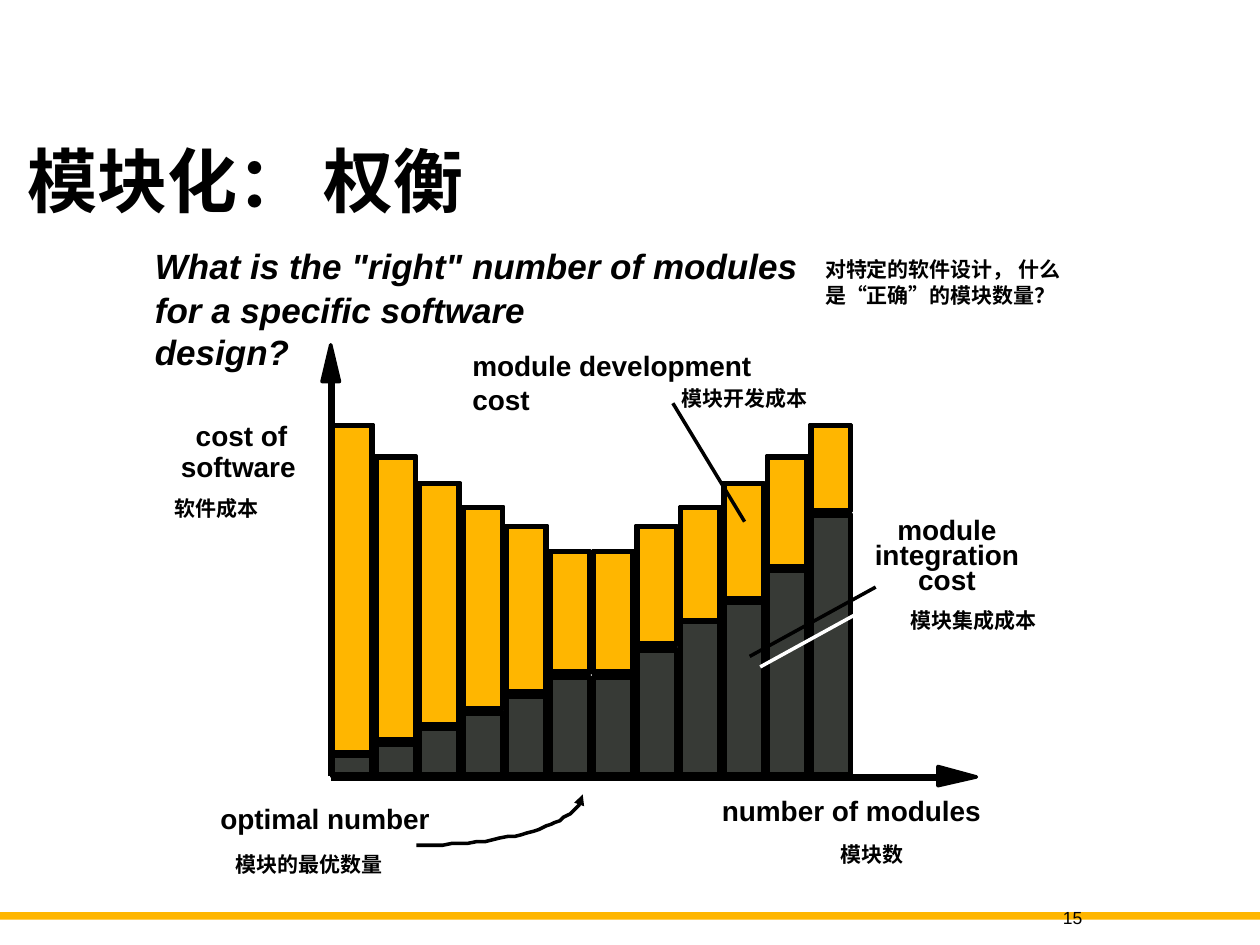
import math

from lxml import etree
from pptx import Presentation
from pptx import util as u
from pptx.dml.color import RGBColor
from pptx.enum import shapes, text
from pptx.oxml.ns import qn

Pt = u.Pt
THEME = {
    "black": "000000", "white": "FFFFFF", "amber": "FFB600", "charcoal": "373A36",
    "body": "Arial", "heading": "Times New Roman",
    "title": 40, "question": 20, "label": 16, "note": 12, "page": 10,
    "thin": 2, "thick": 4,
}

LABELS = [
    ((10.8, 82.1, 263.5, 52.6), ["模块化： 权衡"],
     {"size": "title", "font": "heading", "spacing": 0.9, "margins": (5, 2.2)}),
    ((81.4, 136.1, 386.6, 31), ['What is the "right" number of modules'],
     {"size": "question", "italic": True}),
    ((81.4, 161.3, 303, 54), ["for a specific software design?"],
     {"size": "question", "italic": True, "wrap": True}),
    ((464.4, 143.3, 169.9, 36), ["对特定的软件设计， 什么是“正确”的模块数量？"], {"wrap": True}),
    ((262.8, 195.8, 211, 25.9), ["module development cost"], {"size": "label"}),
    ((382.3, 216.7, 87.1, 21.6), ["模块开发成本"], {}),
    ((104.8, 235.4, 67, 25.9), ["cost of"], {"size": "label"}),
    ((96.3, 253.4, 80, 25.9), ["software"], {"size": "label"}),
    ((92.9, 279.4, 94.3, 21.6), ["软件成本"], {"wrap": True}),
    ((492.5, 293.8, 97.2, 50.4), ["module", "integration", "cost"],
     {"size": "label", "spacing": 0.75, "align": text.PP_ALIGN.CENTER}),
    ((512.6, 347, 87.1, 18), ["模块集成成本"], {"spacing": 0.75, "align": text.PP_ALIGN.CENTER}),
    ((118.8, 454.3, 133.9, 25.9), ["optimal number"], {"size": "label"}),
    ((127.4, 483.1, 99.4, 21.6), ["模块的最优数量"], {}),
    ((405.4, 450, 162.7, 25.9), ["number of modules"], {"size": "label"}),
    ((473, 477.4, 50.4, 21.6), ["模块数"], {}),
    ((594, 517.7, 28.1, 13), ["15"],
     {"size": "page", "bold": False, "wrap": True, "margins": (3.6, 3.6), "fit": False,
      "align": text.PP_ALIGN.RIGHT, "anchor": text.MSO_ANCHOR.MIDDLE}),
]

BARS = [
    (242.6, 430.6, 431.3), (260.6, 423.4, 424.8), (275.8, 414.7, 415.4),
    (289.4, 405.4, 406.8), (300.2, 396, 397.4), (314.6, 384.5, 386.6),
    (314.6, 384.5, 386.6), (300.2, 368.6, 370.8), (289.4, 355, 354.2),
    (275.8, 342.7, 343.4), (260.6, 324.7, 325.4), (242.6, 292.3, 293.8),
]
BAR_LEFT, BAR_STEP, BAR_WIDTH, BASELINE, INSET = 189.4, 24.86, 23.6, 443.5, 1.1

AXES = [
    ((189.4, 444.2, 535, 444.2), [(558, 443.5), (535.7, 448.6), (535.7, 438.5)]),
    ((189.4, 443.5, 189.4, 217.4), [(189.4, 196.6), (193.7, 218.2), (183.6, 218.2)]),
]
DEVELOPMENT_POINTER = (384.5, 230.4, 425.5, 298.1)
INTEGRATION_POINTER = (500.4, 335.5, 428.4, 375.1)
CURVE = {"center": (238.3, 454.3), "radii": (94.3, 28.8), "steps": 30}


def color(name):
    return RGBColor.from_string(THEME[name])


def style(shape, fill=None, line=None):
    shape.shadow.inherit = False
    if fill:
        shape.fill.solid()
        shape.fill.fore_color.rgb = color(fill)
    else:
        shape.fill.background()
    if line:
        shape.line.color.rgb = color(line)
        shape.line.width = Pt(THEME["thin"])
    else:
        shape.line.fill.background()


def add_rectangle(slide, box, fill=None, line=None):
    shape = slide.shapes.add_shape(shapes.MSO_SHAPE.RECTANGLE, *map(Pt, box))
    style(shape, fill, line)


def add_outline(slide, points, closed, fill=None):
    builder = slide.shapes.build_freeform(*points[0], scale=Pt(1))
    builder.add_line_segments(points[1:], close=closed)
    shape = builder.convert_to_shape()
    style(shape, fill, "black")
    return shape


def add_line(slide, ends, weight="thin"):
    line = slide.shapes.add_connector(shapes.MSO_CONNECTOR.STRAIGHT, *map(Pt, ends))
    line.line.color.rgb = color("black")
    line.line.width = Pt(THEME[weight])
    return etree.SubElement(line._element.spPr, qn("a:effectLst"))


def add_label(slide, box, lines, options):
    label = slide.shapes.add_textbox(*map(Pt, box))
    frame = label.text_frame
    side, edge = options.get("margins", (7.2, 3.6))
    fit = text.MSO_AUTO_SIZE.SHAPE_TO_FIT_TEXT if options.get("fit", True) else text.MSO_AUTO_SIZE.NONE
    frame_format = {
        "margin_left": Pt(side), "margin_right": Pt(side),
        "margin_top": Pt(edge), "margin_bottom": Pt(edge),
        "word_wrap": options.get("wrap", False), "auto_size": fit,
        "vertical_anchor": options.get("anchor", text.MSO_ANCHOR.TOP),
    }
    for name, value in frame_format.items():
        setattr(frame, name, value)
    frame.text = "\n".join(lines)
    font_format = {
        "name": THEME[options.get("font", "body")],
        "size": Pt(THEME[options.get("size", "note")]),
        "bold": options.get("bold", True), "italic": options.get("italic", False),
    }
    for paragraph in frame.paragraphs:
        paragraph.alignment = options.get("align", text.PP_ALIGN.LEFT)
        paragraph.line_spacing = options.get("spacing", 1.0)
        font = paragraph.runs[0].font
        for name, value in font_format.items():
            setattr(font, name, value)
        font.color.rgb = color("black")


def add_bars(slide):
    for index, (top, development_end, integration_top) in enumerate(BARS):
        left = BAR_LEFT + index * BAR_STEP
        parts = [(integration_top, BASELINE, "charcoal"), (top, development_end, "amber")]
        for start, end, fill in parts:
            inner = (left + INSET, start + INSET, BAR_WIDTH - 2 * INSET, end - start - 2 * INSET)
            add_rectangle(slide, inner, fill, "black")
            add_rectangle(slide, (left, start, BAR_WIDTH, end - start), None, "black")


def add_pointers(slide):
    add_line(slide, DEVELOPMENT_POINTER)
    effects = add_line(slide, INTEGRATION_POINTER)
    shadow = etree.SubElement(effects, qn("a:outerShdw"), dist=str(Pt(8.5)),
                              dir="2700000", algn="ctr", rotWithShape="0")
    etree.SubElement(shadow, qn("a:srgbClr"), val=THEME["white"])

    (x, y), (across, down), steps = CURVE["center"], CURVE["radii"], CURVE["steps"]
    angles = [math.pi / 2 * step / steps for step in range(steps + 1)]
    points = [(x + across * math.cos(angle), y + down * math.sin(angle)) for angle in angles]
    curve = add_outline(slide, points, False)
    etree.SubElement(curve.line._get_or_add_ln(), qn("a:headEnd"), type="triangle")


def main():
    presentation = Presentation()
    presentation.slide_width, presentation.slide_height = Pt(720), Pt(540)
    slide = presentation.slides.add_slide(presentation.slide_layouts[6])
    add_rectangle(slide, (0, 521.3, 720, 4.3), "amber")
    add_bars(slide)
    for ends, head in AXES:
        add_outline(slide, head, True, "black")
        add_line(slide, ends, "thick")
    add_pointers(slide)
    for label in LABELS:
        add_label(slide, *label)
    presentation.save("out.pptx")


if __name__ == "__main__":
    main()
